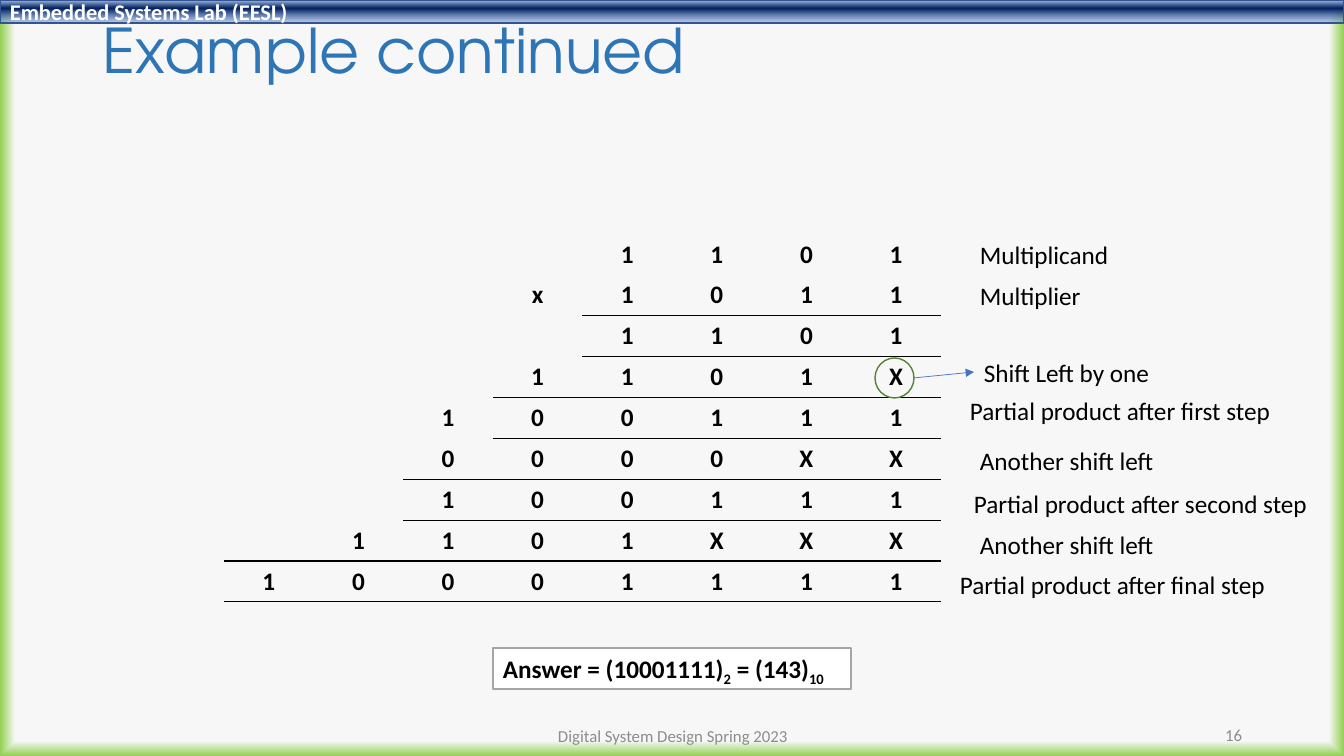
"""Build the slide that works through a binary long multiplication."""
from dataclasses import dataclass
from typing import NamedTuple

from pptx import Presentation
from pptx.dml.color import RGBColor
from pptx.enum.shapes import MSO_CONNECTOR, MSO_SHAPE
from pptx.enum.text import MSO_ANCHOR, PP_ALIGN
from pptx.oxml import parse_xml
from pptx.oxml.ns import nsdecls, qn
from pptx.shapes.autoshape import Shape
from pptx.slide import Slide
from pptx.util import Pt

DOT = 914400 / 100.8


@dataclass(frozen=True)
class Theme:
    body: str = "Calibri"
    head: str = "TeX Gyre Adventor"
    ink: str = "000000"
    white: str = "FFFFFF"
    title: str = "2E75B6"
    faint: str = "8C8C8C"
    edge: str = "325491"
    frame: str = "A5A5A5"
    ring: str = "548235"
    arrow: str = "4472C4"
    paper: str = "F7F7F7"
    glow: str = "92D050"
    pale: str = "ABC0E4"
    navy: str = "002060"
    sky: str = "7E9ED6"
    big: int = 44
    mid: int = 18
    bar: int = 16
    small: int = 12


class Box(NamedTuple):
    left: int
    top: int
    width: int
    height: int


class Label(NamedTuple):
    text: str
    box: Box
    size: int
    color: str
    font: str = "Calibri"
    bold: bool = False
    align: PP_ALIGN = PP_ALIGN.LEFT
    anchor: MSO_ANCHOR = MSO_ANCHOR.TOP
    wrap: bool = False


class Stop(NamedTuple):
    place: int
    color: str
    alpha: int = 100


LOOK = Theme()
GRID = Box(224, 234, 717, 368)
SUMS = ("    1101", "   x1011", "    1101", "   1101X", "  100111",
        "  0000XX", "  100111", " 1101XXX", "10001111")
RULES = {1: 4, 3: 3, 5: 2, 7: 0, 8: 0}
NOTES = (
    ("Multiplicand", 970, 234, 150),
    ("Multiplier", 970, 275, 122),
    ("Shift Left by one", 974, 352, 188),
    ("Partial product after first step", 960, 390, 325),
    ("Another shift left", 970, 440, 197),
    ("Partial product after second step", 964, 483, 358),
    ("Another shift left", 970, 524, 197),
    ("Partial product after final step", 950, 564, 330),
)
ANSWER = (("Answer = (10001111)", False), ("2", True),
          (" = (143)", False), ("10", True))


def px(count: float) -> int:
    return round(count * DOT)


def place(box: Box) -> tuple[int, ...]:
    return tuple(px(side) for side in box)


def style(part, size: int, color: str, font: str = LOOK.body,
          bold: bool = False) -> None:
    part.font.size, part.font.name, part.font.bold = Pt(size), font, bold
    part.font.color.rgb = RGBColor.from_string(color)


def write(shape: Shape, item: Label) -> None:
    frame = shape.text_frame
    frame.text = item.text
    frame.word_wrap = item.wrap
    frame.vertical_anchor = item.anchor
    para = frame.paragraphs[0]
    para.alignment = item.align
    for run in para.runs:
        style(run, item.size, item.color, item.font, item.bold)


def label(slide: Slide, item: Label) -> Shape:
    shape = slide.shapes.add_textbox(*place(item.box))
    write(shape, item)
    return shape


def outline(slide: Slide, kind: MSO_SHAPE, box: Box, color: str) -> Shape:
    shape = slide.shapes.add_shape(kind, *place(box))
    shape.shadow.inherit = False
    shape.fill.background()
    shape.line.color.rgb = RGBColor.from_string(color)
    shape.line.width = Pt(1)
    return shape


def blend(stops: tuple[Stop, ...], course: str):
    marks = "".join(
        f'<a:gs pos="{stop.place * 1000}"><a:srgbClr val="{stop.color}">'
        f'<a:alpha val="{stop.alpha * 1000}"/></a:srgbClr></a:gs>'
        for stop in stops)
    return parse_xml(f'<a:gradFill {nsdecls("a")} rotWithShape="1">'
                     f'<a:gsLst>{marks}</a:gsLst>{course}</a:gradFill>')


def backdrop(slide: Slide) -> None:
    slide.background.fill.solid()
    old = next(slide.element.iter(qn("a:solidFill")))
    course = ('<a:path path="shape"><a:fillToRect l="50000" t="50000" '
              'r="50000" b="50000"/></a:path>')
    stops = (Stop(96, LOOK.paper), Stop(100, LOOK.glow))
    old.getparent().replace(old, blend(stops, course))


def banner(slide: Slide) -> None:
    box = Box(0, 0, 1344, 23)
    shape = outline(slide, MSO_SHAPE.RECTANGLE, box, LOOK.edge)
    old = shape.element.spPr.find(qn("a:noFill"))
    stops = (Stop(2, LOOK.pale), Stop(38, LOOK.navy), Stop(93, LOOK.sky, 64))
    shape.element.spPr.replace(old, blend(stops, '<a:lin ang="5400000"/>'))
    write(shape, Label("Embedded Systems Lab (EESL)", box, LOOK.bar,
                       LOOK.white, bold=True, anchor=MSO_ANCHOR.MIDDLE,
                       wrap=True))


def border(cell, side: str) -> None:
    cell.get_or_add_tcPr().append(parse_xml(
        f'<a:{side} {nsdecls("a")} w="12700"><a:solidFill>'
        f'<a:srgbClr val="{LOOK.ink}"/></a:solidFill></a:{side}>'))


def working(slide: Slide) -> None:
    rows, cols = len(SUMS), len(SUMS[0])
    frame = slide.shapes.add_table(rows, cols, *place(GRID))
    table = frame.table
    table.first_row = table.horz_banding = False
    plain = next(frame.element.iter(qn("a:tableStyleId")))
    plain.text = "{2D5ABB26-0587-4C30-8999-92F81FD0307C}"
    nodes = list(frame.element.iter(qn("a:tc")))
    for row, line in enumerate(SUMS):
        for col, mark in enumerate(line):
            cell, node = table.cell(row, col), nodes[row * cols + col]
            for side, rule in (("lnT", row - 1), ("lnB", row)):
                if col >= RULES.get(rule, cols):
                    border(node, side)
            cell.fill.background()
            cell.text = mark.strip()
            para = cell.text_frame.paragraphs[0]
            para.alignment = PP_ALIGN.CENTER
            style(para, LOOK.mid, LOOK.ink, bold=True)
            for run in para.runs:
                style(run, LOOK.mid, LOOK.ink, bold=True)


def answer(slide: Slide) -> None:
    box = Box(493, 648, 358, 41)
    shape = outline(slide, MSO_SHAPE.RECTANGLE, box, LOOK.frame)
    shape.fill.solid()
    shape.fill.fore_color.rgb = RGBColor.from_string(LOOK.white)
    write(shape, Label("", box, LOOK.mid, LOOK.ink))
    para = shape.text_frame.paragraphs[0]
    for text, low in ANSWER:
        run = para.add_run()
        run.text = text
        style(run, LOOK.mid, LOOK.ink, bold=True)
        if low:
            list(shape.element.iter(qn("a:rPr")))[-1].set("baseline", "-25000")


def arrow(slide: Slide) -> None:
    ends = place(Box(913, 378, 974, 372))
    line = slide.shapes.add_connector(MSO_CONNECTOR.STRAIGHT, *ends)
    line.line.color.rgb = RGBColor.from_string(LOOK.arrow)
    line.line.width = Pt(0.5)
    tip = parse_xml(f'<a:tailEnd {nsdecls("a")} type="triangle"/>')
    line.element.spPr.find(qn("a:ln")).append(tip)
    line.element.spPr.append(parse_xml(f'<a:effectLst {nsdecls("a")}/>'))


def main() -> None:
    deck = Presentation()
    deck.slide_width, deck.slide_height = px(1344), px(756)
    slide = deck.slides.add_slide(deck.slide_layouts[6])
    backdrop(slide)
    banner(slide)
    title = label(slide, Label(
        "Example continued", Box(93, 15, 1159, 78), LOOK.big, LOOK.title,
        LOOK.head, anchor=MSO_ANCHOR.MIDDLE, wrap=True))
    title.text_frame.paragraphs[0].line_spacing = 0.9
    working(slide)
    for text, left, top, width in NOTES:
        label(slide, Label(text, Box(left, top, width, 40),
                           LOOK.mid, LOOK.ink))
    answer(slide)
    outline(slide, MSO_SHAPE.OVAL, Box(875, 358, 39, 40), LOOK.ring)
    arrow(slide)
    for text, box, align in (
            ("Digital System Design Spring 2023", Box(446, 716, 454, 40),
             PP_ALIGN.CENTER),
            ("16", Box(950, 715, 302, 40), PP_ALIGN.RIGHT)):
        label(slide, Label(text, box, LOOK.small, LOOK.faint, align=align,
                           anchor=MSO_ANCHOR.MIDDLE, wrap=True))
    deck.save("out.pptx")


main()
